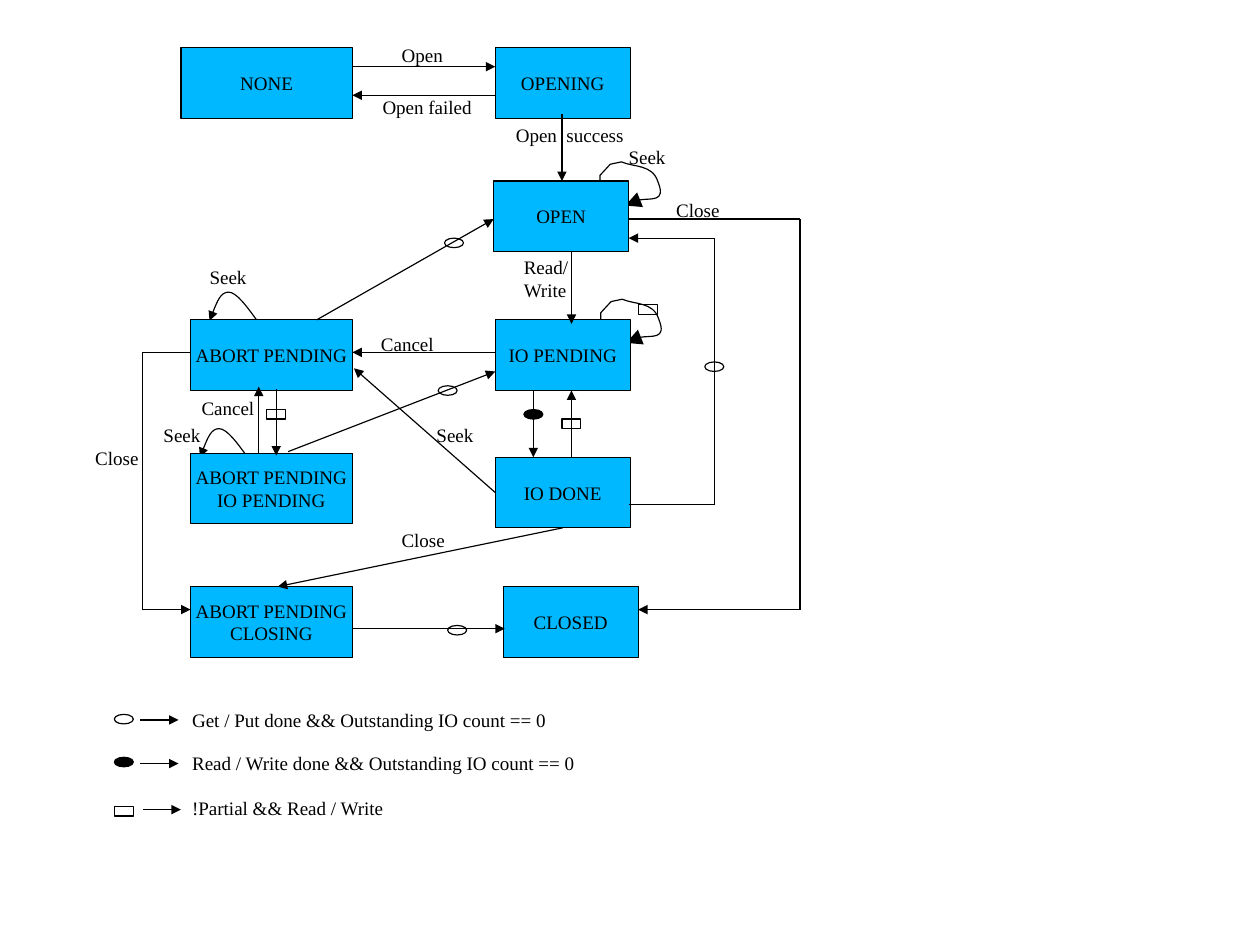
import itertools

import lxml.etree
import pptx
import pptx.dml.color
import pptx.enum.shapes
import pptx.enum.text
import pptx.oxml.ns
import pptx.util

Pt = pptx.util.Pt
SHAPE = pptx.enum.shapes.MSO_SHAPE
COLORS = {"state": "00B8FF", "ink": "000000"}
FONT = "Times New Roman"
STATE_HEIGHT, STATE_WIDTH, ABORT_WIDTH = 44.5, 85, 102
MARKER_WIDTH, MARKER_HEIGHT = 12, 6
TOP, LEFT, BOTTOM, RIGHT = range(4)

# name: (left, top, width)
STATES = {
    "NONE": (114, 30, 108),
    "OPENING": (312, 30, STATE_WIDTH),
    "OPEN": (311, 114, STATE_WIDTH),
    "ABORT PENDING": (120, 201.5, ABORT_WIDTH),
    "IO PENDING": (312, 201.5, STATE_WIDTH),
    "ABORT PENDING\nIO PENDING": (120, 285.5, ABORT_WIDTH),
    "IO DONE": (312, 288, STATE_WIDTH),
    "ABORT PENDING\nCLOSING": (120, 369.5, ABORT_WIDTH),
    "CLOSED": (317, 369.5, STATE_WIDTH),
}

# Each stop is a point or (state, side); the arrowhead is at the last stop
TRANSITIONS = [
    [(222, 42), (312, 42)],
    [(312, 60), (222, 60)],
    [(354, 72), (354, 114)],
    [(360, 158.5), (360, 204)],
    [(312, 222), (222, 222)],
    [(336, 246), (336, 288)],
    [(360, 288), (360, 246)],
    [(199.5, 201.5), (311, 138)],
    [(181.5, 284.5), (312, 234)],
    [(163, 285.5), (163, 243.5)],
    [(174, 245), (174, 287)],
    [("IO DONE", LEFT), (223, 232)],
    [("IO DONE", BOTTOM), (175, 369.5)],
    [(222, 396), (318, 396)],
    [(396, 318), (450, 318), (450, 150), (396, 150)],
    [(396, 138), (504, 138), (504, 384), (402, 384)],
    [(120, 222), (90, 222), (90, 384), (120, 384)],
]

# Offsets from the start; the last six points form two cubic curves
SIDE_LOOP = [(0, 0), (0, -4.5), (6.5, -11.5), (13.5, -13), (21.5, -9.5),
             (33, -11.5), (36.5, -0.5), (42, 13), (21.5, 8.5), (16, 14.5)]
TOP_LOOP = [(0, 0), (-6.5, -9), (-13, -18), (-18, -18),
            (-23, -18), (-26.5, -9), (-30, 0)]
# (offsets, start, arrowhead size)
LOOPS = [
    (SIDE_LOOP, (378, 115), "lg"),
    (SIDE_LOOP, (378.5, 201.5), "lg"),
    (TOP_LOOP, (162, 202), "med"),
    (TOP_LOOP, (156, 288), "med"),
]

# (text, left, top, width)
LABELS = [
    ("Open", 253, 27.5, 40), ("Open failed", 241, 60, 80),
    ("Open  success", 325, 78, 80),
    ("Seek", 396, 91.5, 36), ("Close", 426, 125, 36), ("Read/ Write", 330, 161, 36),
    ("Seek", 132, 167.5, 36), ("Cancel", 240, 209.5, 36), ("Cancel", 127, 249.5, 36),
    ("Seek", 103, 267, 36), ("Seek", 275, 267, 36),
    ("Close", 60, 281.5, 36), ("Close", 253, 333, 36),
]

# kind: (outline, fill)
MARKER_KINDS = {
    "get/put done": (SHAPE.OVAL, None),
    "read/write done": (SHAPE.OVAL, "ink"),
    "not partial": (SHAPE.RECTANGLE, None),
}
MARKERS = [
    ("get/put done", 444, 228), ("get/put done", 282, 394),
    ("get/put done", 276, 243), ("get/put done", 280, 150),
    ("read/write done", 330, 258),
    ("not partial", 402, 192), ("not partial", 168, 258),
    ("not partial", 354, 264),
]
# (kind, meaning, text top, marker top, arrow left, arrow height)
LEGEND = [
    ("get/put done", "Get / Put done && Outstanding IO count == 0", 446.5, 450, 88.5, 453.5),
    ("read/write done", "Read / Write done && Outstanding IO count == 0", 473.5, 477, 88.5, 481),
    ("not partial", "!Partial && Read / Write", 501.5, 508, 90, 510),
]


def color(name):
    return pptx.dml.color.RGBColor.from_string(COLORS[name])


def set_outline(part, arrow=None):
    """Give a thin line, with an arrowhead of the given size at its end."""
    part.line.color.rgb = color("ink")
    part.line.width = Pt(0.75)
    if arrow:
        outline = part.element.spPr.find(pptx.oxml.ns.qn("a:ln"))
        lxml.etree.SubElement(outline, pptx.oxml.ns.qn("a:tailEnd"),
                              type="triangle", w=arrow, len=arrow)


def set_fill(shape, fill):
    shape.shadow.inherit = False
    if fill:
        shape.fill.solid()
        shape.fill.fore_color.rgb = color(fill)
    else:
        shape.fill.background()


def write(shape, text, alignment):
    frame = shape.text_frame
    frame.margin_left = frame.margin_right = frame.margin_top = frame.margin_bottom = 0
    frame.text = text
    for paragraph in frame.paragraphs:
        paragraph.alignment = alignment
        paragraph.font.name = FONT
        paragraph.font.size = Pt(12)
        paragraph.font.color.rgb = color("ink")
    return frame


def add_state(shapes, name, left, top, width):
    state = shapes.add_shape(SHAPE.RECTANGLE, Pt(left), Pt(top), Pt(width), Pt(STATE_HEIGHT))
    set_fill(state, "state")
    set_outline(state)
    frame = write(state, name, pptx.enum.text.PP_ALIGN.CENTER)
    frame.word_wrap = False
    frame.vertical_anchor = pptx.enum.text.MSO_ANCHOR.MIDDLE
    return state


def add_label(shapes, text, left, top, width):
    label = shapes.add_textbox(Pt(left), Pt(top), Pt(width), Pt(14))
    write(label, text, pptx.enum.text.PP_ALIGN.LEFT).word_wrap = True


def add_marker(shapes, kind, left, top):
    outline, fill = MARKER_KINDS[kind]
    marker = shapes.add_shape(outline, Pt(left), Pt(top), Pt(MARKER_WIDTH), Pt(MARKER_HEIGHT))
    set_fill(marker, fill)
    set_outline(marker)


def locate(stop):
    """Return the point of a stop, which may be the middle of a state's side."""
    if stop[0] not in STATES:
        return stop
    left, top, width = STATES[stop[0]]
    across, down = {TOP: (0.5, 0), LEFT: (0, 0.5), BOTTOM: (0.5, 1), RIGHT: (1, 0.5)}[stop[1]]
    return left + across * width, top + down * STATE_HEIGHT


def add_transition(shapes, stops, states):
    for start, end in itertools.pairwise(stops):
        ends = [Pt(value) for value in (*locate(start), *locate(end))]
        line = shapes.add_connector(pptx.enum.shapes.MSO_CONNECTOR.STRAIGHT, *ends)
        if start[0] in states:
            line.begin_connect(states[start[0]], start[1])
        if end[0] in states:
            line.end_connect(states[end[0]], end[1])
        set_outline(line, "med" if end is stops[-1] else None)
        lxml.etree.SubElement(line.element.spPr, pptx.oxml.ns.qn("a:effectLst"))


def add_loop(shapes, offsets, start, arrow):
    points = [(Pt(start[0] + x), Pt(start[1] + y)) for x, y in offsets]
    builder = shapes.build_freeform(*points[0])
    builder.add_line_segments(points[1:], close=False)
    loop = builder.convert_to_shape()
    set_fill(loop, None)
    set_outline(loop, arrow)
    segments = loop.element.xpath(".//a:lnTo")[-6:]
    for trio in (segments[:3], segments[3:]):
        trio[0].tag = pptx.oxml.ns.qn("a:cubicBezTo")
        for segment in trio[1:]:
            trio[0].append(segment[0])
            segment.getparent().remove(segment)


def main():
    deck = pptx.Presentation()
    deck.slide_width, deck.slide_height = Pt(793.75), Pt(595.25)
    shapes = deck.slides.add_slide(deck.slide_layouts[6]).shapes
    for loop in LOOPS:
        add_loop(shapes, *loop)
    states = {name: add_state(shapes, name, *place) for name, place in STATES.items()}
    for stops in TRANSITIONS:
        add_transition(shapes, stops, states)
    for label in LABELS:
        add_label(shapes, *label)
    for marker in MARKERS:
        add_marker(shapes, *marker)
    for kind, meaning, text_top, marker_top, arrow_left, arrow_height in LEGEND:
        add_marker(shapes, kind, 72, marker_top)
        add_transition(shapes, [(arrow_left, arrow_height), (arrow_left + 24, arrow_height)], states)
        add_label(shapes, meaning, 121, text_top, 270)
    deck.save("out.pptx")


if __name__ == "__main__":
    main()
